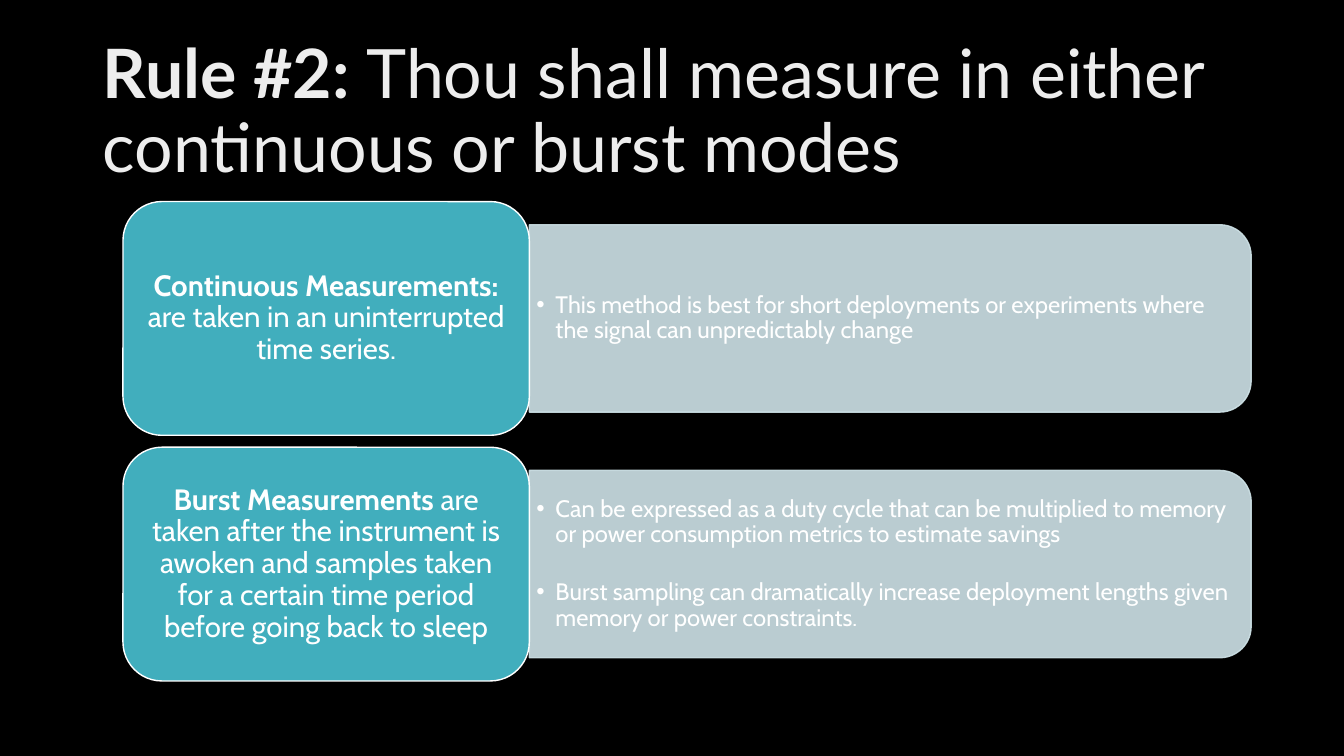
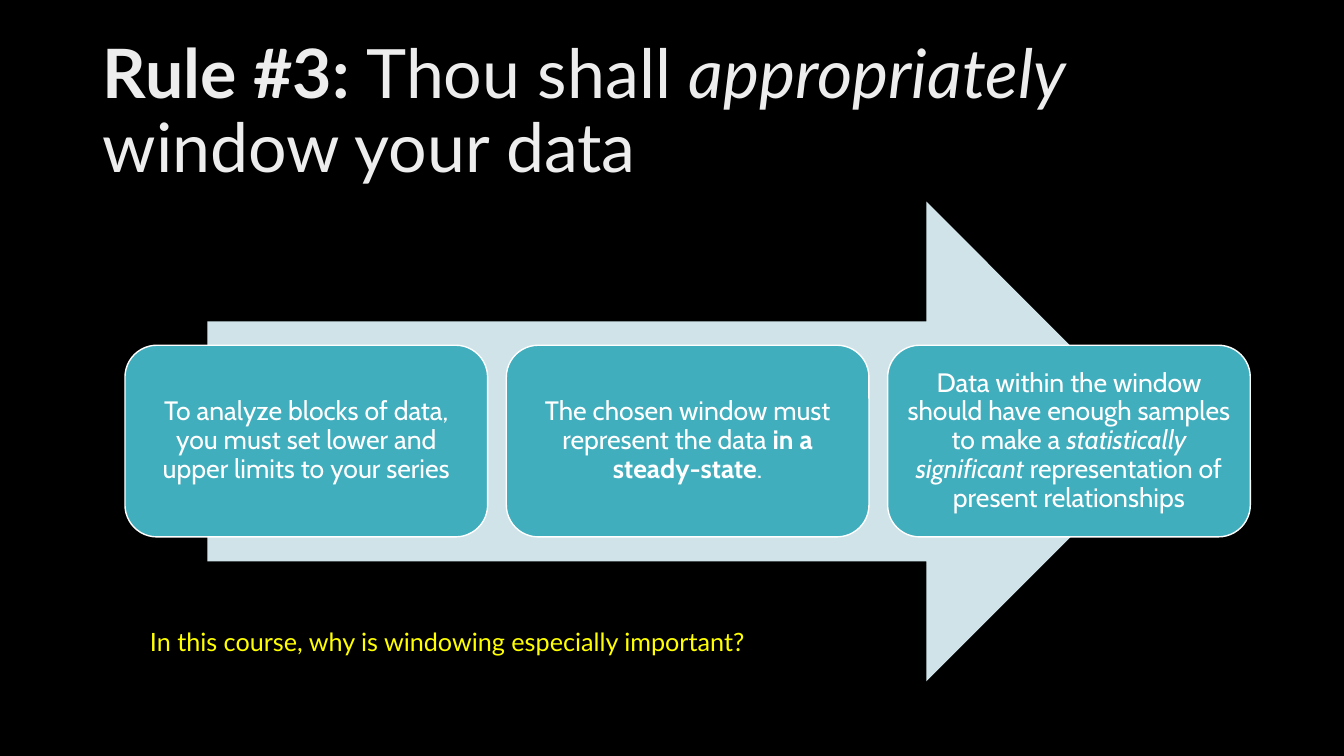
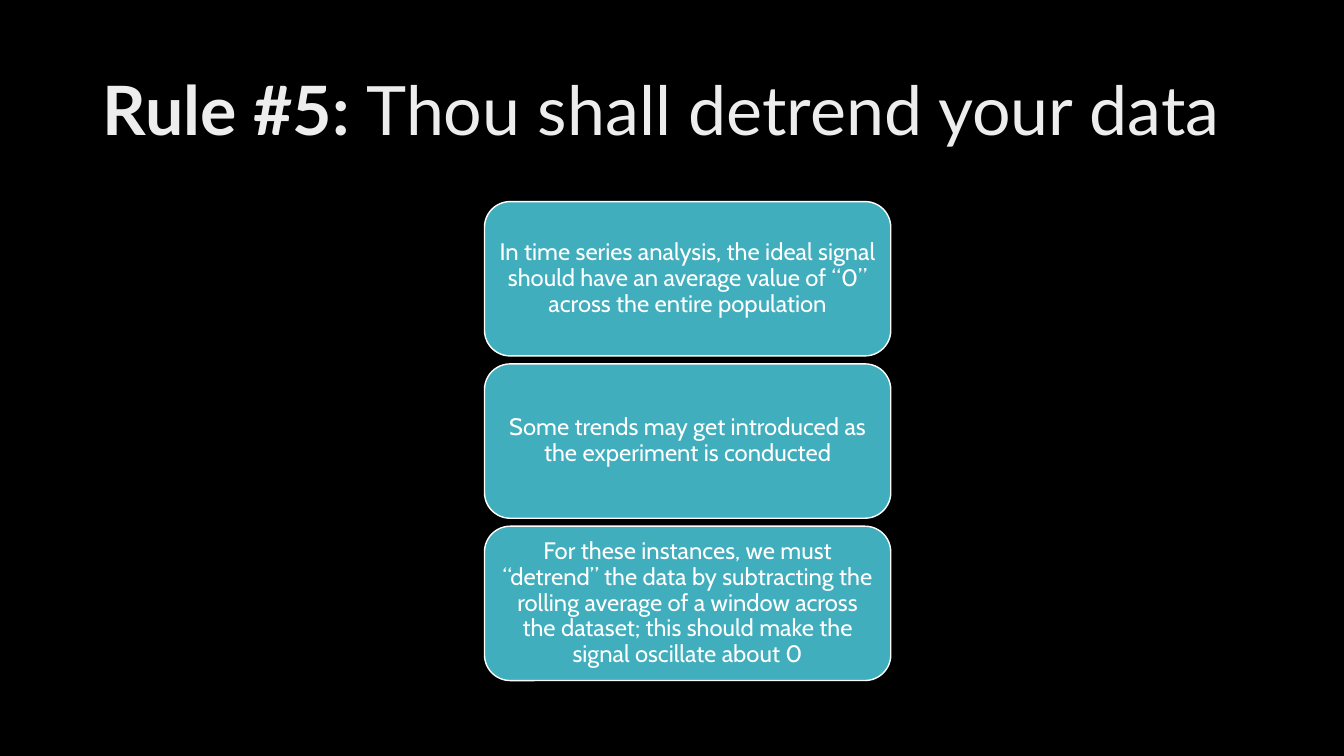
from lxml.etree import SubElement
from pptx import Presentation
from pptx.dml.color import RGBColor
from pptx.enum.shapes import MSO_SHAPE
from pptx.enum.text import MSO_ANCHOR, MSO_AUTO_SIZE, PP_ALIGN
from pptx.oxml.ns import qn
from pptx.util import Cm, Pt

# Shared look
BLACK, WHITE, TITLE_GREY = "000000", "FFFFFF", "EDEDED"
TEAL, PALE_TEAL, YELLOW = "41AEBD", "CFE3E8", "FFFF00"
TITLE_FONT, BODY_FONT = "Lato", "Cabin"
CONTENT_TOP = 5.08
rgb = RGBColor.from_string


def add_runs(paragraph, runs, size, font=BODY_FONT, color=WHITE):
    """Write (text, style) runs, where style is "", "b" or "i"."""
    for text, style in runs:
        run = paragraph.add_run()
        run.text = text
        run.font.name = font
        run.font.size = Pt(size)
        run.font.bold = style == "b"
        run.font.italic = style == "i"
        run.font.color.rgb = rgb(color)


def add_card(slide, left, top, width, height, runs, size, inset_x, inset_y):
    """Teal rounded card with centred text; lengths in centimetres."""
    card = slide.shapes.add_shape(MSO_SHAPE.ROUNDED_RECTANGLE,
                                  Cm(left), Cm(top), Cm(width), Cm(height))
    card.shadow.inherit = False
    card.fill.solid()
    card.fill.fore_color.rgb = rgb(TEAL)
    card.line.color.rgb = rgb(WHITE)
    card.line.width = Pt(1)
    frame = card.text_frame
    frame.word_wrap = True
    frame.vertical_anchor = MSO_ANCHOR.MIDDLE
    frame.margin_left = frame.margin_right = Cm(inset_x)
    frame.margin_top = frame.margin_bottom = Cm(inset_y)
    paragraph = frame.paragraphs[0]
    paragraph.alignment = PP_ALIGN.CENTER
    paragraph.line_spacing = 0.9
    add_runs(paragraph, runs, size)


prs = Presentation()
prs.slide_width, prs.slide_height = Cm(33.87), Cm(19.05)
background = prs.slide_master.background.fill
background.solid()
background.fore_color.rgb = rgb(BLACK)

# Slides with their titles
titles = [
    [("Rule #2: ", "b"),
     ("Thou shall measure in either continuous or burst modes", "")],
    [("Rule #3: ", "b"), ("Thou shall ", ""), ("appropriately ", "i"),
     ("window your data", "")],
    [("Rule #5: ", "b"), ("Thou shall detrend your data", "")],
]
slides = []
for title_runs in titles:
    slide = prs.slides.add_slide(prs.slide_layouts[5])
    title = slide.shapes.title
    title.left, title.top = Cm(2.34), Cm(1.02)
    title.width, title.height = Cm(29.21), Cm(3.68)
    title.text_frame.word_wrap = True
    title.text_frame.auto_size = MSO_AUTO_SIZE.NONE
    title.text_frame.vertical_anchor = MSO_ANCHOR.MIDDLE
    heading = title.text_frame.paragraphs[0]
    heading.alignment = PP_ALIGN.LEFT
    heading.line_spacing = 0.9
    add_runs(heading, title_runs, 48.6, TITLE_FONT, TITLE_GREY)
    slides.append(slide)
modes_slide, window_slide, detrend_slide = slides

# Rule 2: each measuring mode has a card and a panel of details
modes = [
    ([("Continuous Measurements: ", "b"),
      ("are taken in an uninterrupted time series.", "")],
     ["This method is best for short deployments or experiments where the "
      "signal can unpredictably change"]),
    ([("Burst Measurements ", "b"),
      ("are taken after the instrument is awoken and samples taken for a "
       "certain time period before going back to sleep", "")],
     ["Can be expressed as a duty cycle that can be multiplied to memory or "
      "power consumption metrics to estimate savings",
      "Burst sampling can dramatically increase deployment lengths given "
      "memory or power constraints."]),
]
MODE_LEFT, MODE_WIDTH, MODE_HEIGHT, MODE_PITCH = 3.1, 10.24, 5.89, 6.19
PANEL_LEFT, PANEL_WIDTH, PANEL_HEIGHT = MODE_LEFT + MODE_WIDTH, 18.19, 4.72
DETAILS_WIDTH, DETAILS_HEIGHT = 17.96, 4.27
for row, (mode_runs, details) in enumerate(modes):
    top = CONTENT_TOP + row * MODE_PITCH
    middle = top + MODE_HEIGHT / 2

    # The panel is turned a quarter so that its round corners face right
    panel = modes_slide.shapes.add_shape(
        MSO_SHAPE.ROUND_2_SAME_RECTANGLE,
        Cm(PANEL_LEFT + (PANEL_WIDTH - PANEL_HEIGHT) / 2),
        Cm(middle - PANEL_WIDTH / 2), Cm(PANEL_HEIGHT), Cm(PANEL_WIDTH))
    panel.rotation = 90
    panel.shadow.inherit = False
    panel.fill.solid()
    panel.fill.fore_color.rgb = rgb(PALE_TEAL)
    panel.line.color.rgb = rgb(PALE_TEAL)
    panel.line.width = Pt(1)
    for tint in list(panel.element.spPr.iter(qn("a:srgbClr"))):
        SubElement(tint, qn("a:alpha"), val="90000")

    # Bulleted details
    frame = modes_slide.shapes.add_textbox(
        Cm(PANEL_LEFT), Cm(middle - DETAILS_HEIGHT / 2),
        Cm(DETAILS_WIDTH), Cm(DETAILS_HEIGHT)).text_frame
    frame.word_wrap = True
    frame.vertical_anchor = MSO_ANCHOR.MIDDLE
    frame.margin_left = frame.margin_right = Cm(0.18)
    frame.margin_top = frame.margin_bottom = Cm(0.1)
    for index, detail in enumerate(details):
        bullet = frame.add_paragraph() if index else frame.paragraphs[0]
        bullet.line_spacing = 0.9
        bullet.space_before = Pt(23 if index else 0)
        properties = bullet._p.get_or_add_pPr()
        properties.set("marL", str(Cm(0.48)))
        properties.set("indent", str(-Cm(0.48)))
        SubElement(properties, qn("a:buFont"), typeface="Arial")
        SubElement(properties, qn("a:buChar"), char="•")
        add_runs(bullet, [(detail, "")], 17)

    add_card(modes_slide, MODE_LEFT, top, MODE_WIDTH, MODE_HEIGHT,
             mode_runs, 21, 0.23, 0.1)

# Rule 3: three steps along an arrow
arrow = window_slide.shapes.add_shape(
    MSO_SHAPE.RIGHT_ARROW, Cm(5.23), Cm(CONTENT_TOP), Cm(24.16), Cm(12.09))
arrow.shadow.inherit = False
arrow.fill.solid()
arrow.fill.fore_color.rgb = rgb(PALE_TEAL)
arrow.line.fill.background()

window_steps = [
    [("To analyze blocks of data, you must set lower and upper limits to "
      "your series", "")],
    [("The chosen window must represent the data ", ""),
     ("in a steady-state", "b"), (".", "")],
    [("Data within the window should have enough samples to make a ", ""),
     ("statistically significant", "i"),
     (" representation of present relationships", "")],
]
for column, step_runs in enumerate(window_steps):
    add_card(window_slide, 3.15 + column * 9.61, 8.7, 9.14, 4.83,
             step_runs, 19, 0.2, 0.2)

# Question for the class
question = window_slide.shapes.add_textbox(
    Cm(3.53), Cm(15.65), Cm(26.44), Cm(1.02)).text_frame
question.word_wrap = True
add_runs(question.paragraphs[0],
         [("In this course, why is windowing especially important?", "")],
         18, TITLE_FONT, YELLOW)

# Rule 5: stacked reasoning
detrend_steps = [
    "In time series analysis, the ideal signal should have an average value "
    "of “0” across the entire population",
    "Some trends may get introduced as the experiment is conducted",
    "For these instances, we must “detrend” the data by subtracting the "
    "rolling average of a window across the dataset; this should make the "
    "signal oscillate about 0",
]
for row, step in enumerate(detrend_steps):
    add_card(detrend_slide, 12.21, CONTENT_TOP + row * 4.09, 10.24, 3.89,
             [(step, "")], 17, 0.18, 0.1)

prs.save("out.pptx")
